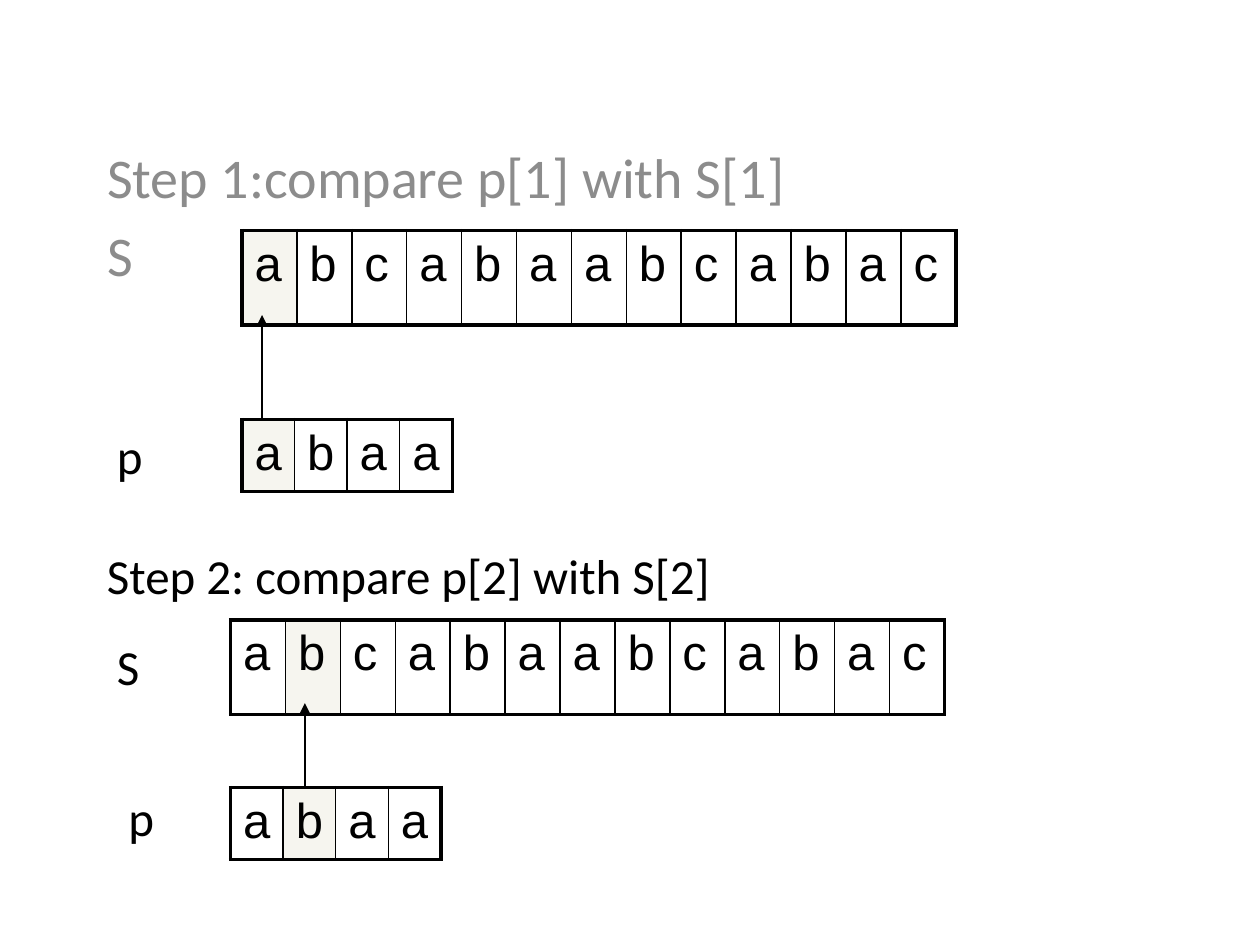
import pptx
import pptx.util
import pptx.dml.color
import pptx.enum.text
import pptx.oxml
import pptx.oxml.ns
from pptx.util import Inches, Pt

COLORS = {"ink": "000000", "gray": "8C8C8C", "mark": "EEECE1"}
TEXT = "abcabaabcabac"
WORD = "abaa"


def color(name):
    """Return the named colour."""
    return pptx.dml.color.RGBColor.from_string(COLORS[name])


def style(para, size, face="Calibri", tone="ink"):
    """Set the font of a paragraph."""
    para.font.size = Pt(size)
    para.font.name = face
    para.font.color.rgb = color(tone)


def add_head(slide, lines):
    """Fill the subtitle with the first step and drop the empty title."""
    title = slide.shapes.title.element
    title.getparent().remove(title)
    head = slide.placeholders[1]
    head.left, head.top = Inches(0.75), Inches(1.08)
    head.width, head.height = Inches(8.58), Inches(5.92)
    head.text_frame.text = "\n".join(lines)
    for i, para in enumerate(head.text_frame.paragraphs):
        style(para, 32, tone="gray")
        para.alignment = pptx.enum.text.PP_ALIGN.LEFT
        para.space_before = Pt(6.4 if i else 0)


def add_label(slide, text, left, top, width):
    """Add a one-line label."""
    box = slide.shapes.add_textbox(
        Inches(left), Inches(top), Inches(width), Inches(0.57))
    frame = box.text_frame
    frame.word_wrap = False
    frame.auto_size = pptx.enum.text.MSO_AUTO_SIZE.SHAPE_TO_FIT_TEXT
    frame.text = text
    style(frame.paragraphs[0], 28)


def add_edges(cell, first, last):
    """Draw thick outer and thin inner borders on a cell."""
    thick, thin = Pt(2.25), Pt(1)
    edges = {"L": thick if first else thin, "R": thick if last else thin,
             "T": thick, "B": thick}
    props = cell._tc.get_or_add_tcPr()
    for i, (side, width) in enumerate(edges.items()):
        props.insert(i, pptx.oxml.parse_xml(
            f'<a:ln{side} {pptx.oxml.ns.nsdecls("a")} w="{width}"><a:solidFill>'
            f'<a:srgbClr val="{COLORS["ink"]}"/></a:solidFill></a:ln{side}>'))


def add_mark(cell):
    """Shade a cell with a half-clear fill."""
    cell.fill.solid()
    cell.fill.fore_color.rgb = color("mark")
    tint = cell._tc.tcPr.find(".//" + pptx.oxml.ns.qn("a:solidFill")
                              + f"/*[@val='{COLORS['mark']}']")
    tint.append(pptx.oxml.parse_xml(
        f'<a:alpha {pptx.oxml.ns.nsdecls("a")} val="50000"/>'))


def add_cells(slide, chars, mark, left, top, width, height):
    """Add a one-row table of letters with one letter shaded."""
    count = len(chars)
    table = slide.shapes.add_table(
        1, count, Inches(left), Inches(top), Inches(width), Inches(height)).table
    table.first_row = table.horz_banding = False
    for i, char in enumerate(chars):
        cell = table.cell(0, i)
        cell.text = char
        style(cell.text_frame.paragraphs[0], 28, "Arial")
        if i == mark:
            add_mark(cell)
        else:
            cell.fill.background()
        add_edges(cell, i == 0, i == count - 1)


def add_arrow(slide, x, start, end):
    """Add an upright arrow."""
    line = slide.shapes.add_connector(
        1, Inches(x), Inches(start), Inches(x), Inches(end))
    line.line.color.rgb = color("ink")
    line.line.width = Pt(0.75)
    space = pptx.oxml.ns.nsdecls("a")
    line.line._get_or_add_ln().append(
        pptx.oxml.parse_xml(f'<a:tailEnd {space} type="triangle"/>'))
    line.element.spPr.append(pptx.oxml.parse_xml(f"<a:effectLst {space}/>"))


def add_step(slide, mark, left, top, low, x, tip):
    """Add the text row, the pattern row and the arrow between them."""
    add_cells(slide, TEXT, mark, left, top, 5.67, 0.75)
    add_cells(slide, WORD, mark, left, low, 1.67, 0.57)
    add_arrow(slide, x, low, tip)


def main():
    """Build the slide."""
    deck = pptx.Presentation()
    deck.slide_width, deck.slide_height = Inches(10), Inches(7.5)
    slide = deck.slides.add_slide(deck.slide_layouts[0])
    add_head(slide, ["Step 1:compare p[1] with S[1]", "S"])
    add_label(slide, "p", 0.83, 3.33, 0.42)
    add_step(slide, 0, 1.92, 1.83, 3.33, 2.08, 2.5)
    add_label(slide, "Step 2: compare p[2] with S[2]", 0.75, 4.28, 5.41)
    add_label(slide, "S", 0.83, 5, 0.46)
    add_label(slide, "p", 0.92, 6.2, 0.42)
    add_step(slide, 1, 1.83, 4.92, 6.25, 2.42, 5.58)
    deck.save("out.pptx")


if __name__ == "__main__":
    main()
